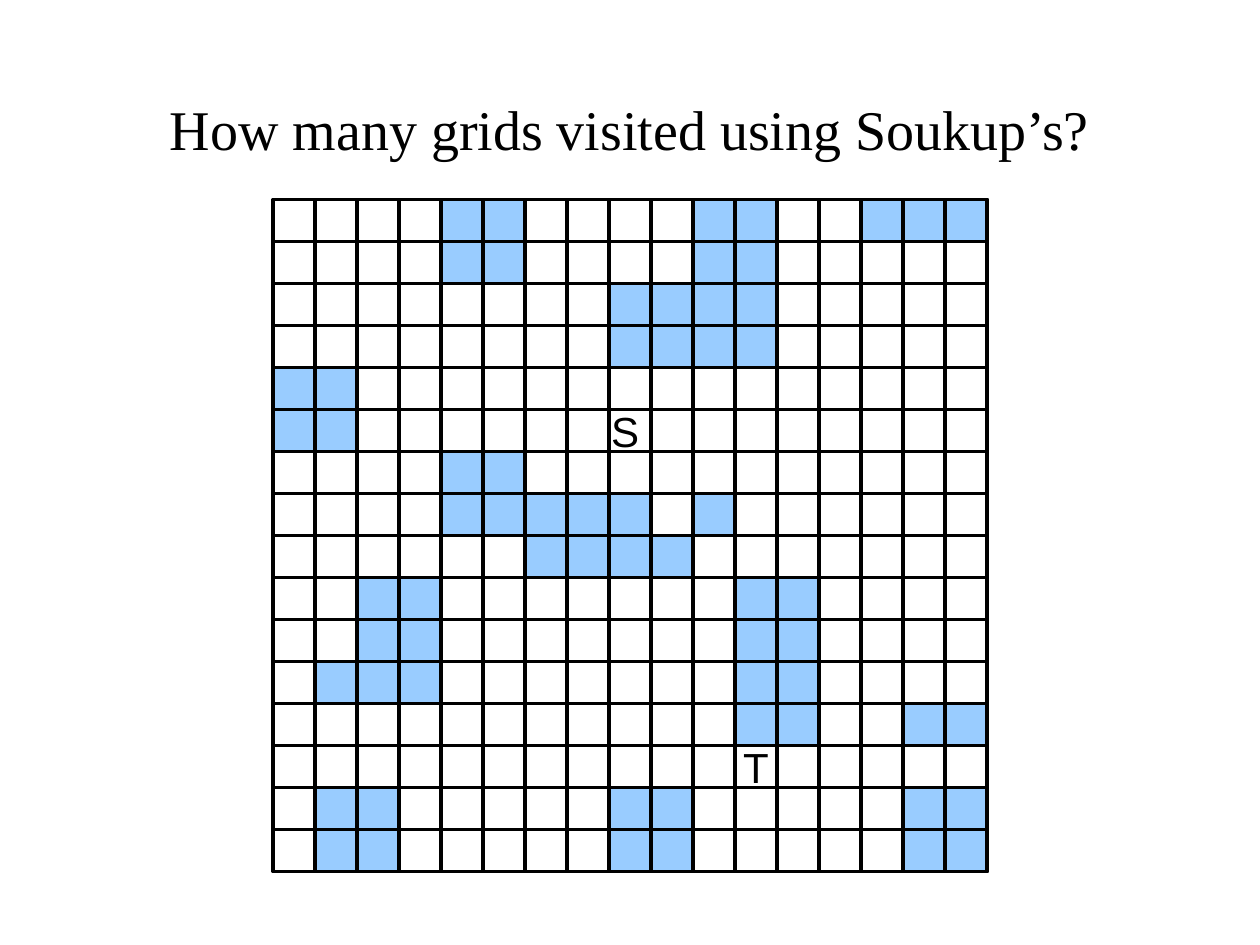
from lxml.etree import SubElement
from pptx import Presentation
from pptx.dml.color import RGBColor
from pptx.enum.shapes import MSO_CONNECTOR, MSO_SHAPE
from pptx.enum.text import MSO_ANCHOR, MSO_AUTO_SIZE, PP_ALIGN
from pptx.oxml.ns import qn
from pptx.util import Inches, Pt

BLACK = RGBColor(0x00, 0x00, 0x00)
OBSTACLE_BLUE = RGBColor(0x99, 0xCC, 0xFF)

SLIDE_WIDTH, SLIDE_HEIGHT = Inches(10), Inches(7.5)
CELL = SLIDE_WIDTH / 30
GRID_LEFT, GRID_TOP = 6.5 * CELL, 4.75 * CELL
LINE_WIDTH = Pt(2)

# One character per grid cell; # marks an obstacle
MAZE = [
    "....##....##..###",
    "....##....##.....",
    "........####.....",
    "........####.....",
    "##...............",
    "##...............",
    "....##...........",
    "....#####.#......",
    "......####.......",
    "..##.......##....",
    "..##.......##....",
    ".###.......##....",
    "...........##..##",
    ".................",
    ".##.....##.....##",
    ".##.....##.....##",
]
ROWS, COLUMNS = len(MAZE), len(MAZE[0])


def grid_x(column):
    return round(GRID_LEFT + column * CELL)


def grid_y(row):
    return round(GRID_TOP + row * CELL)


def span_cells(columns, rows):
    return round(columns * CELL), round(rows * CELL)


def write_text(frame, text, font_name, size):
    frame.vertical_anchor = MSO_ANCHOR.MIDDLE
    para = frame.paragraphs[0]
    para.alignment = PP_ALIGN.CENTER
    span = para.add_run()
    span.text = text
    span.font.name = font_name
    span.font.size = Pt(size)
    span.font.color.rgb = BLACK


def set_title(page, text):
    title = page.shapes.title
    title.left, title.top = round(SLIDE_WIDTH / 60), round(SLIDE_HEIGHT * 0.09)
    title.width, title.height = round(SLIDE_WIDTH * 29 / 30), round(SLIDE_HEIGHT * 0.09)
    write_text(title.text_frame, text, "Times New Roman", 32)


def add_rectangle(page, column, row, columns=1, rows=1, fill=None):
    box = page.shapes.add_shape(
        MSO_SHAPE.RECTANGLE, grid_x(column), grid_y(row), *span_cells(columns, rows)
    )
    box.shadow.inherit = False
    if fill is None:
        box.fill.background()
    else:
        box.fill.solid()
        box.fill.fore_color.rgb = fill
    box.line.color.rgb = BLACK
    box.line.width = LINE_WIDTH
    return box


def add_grid_line(page, start, end):
    """Draw a line between two (column, row) grid points."""
    line = page.shapes.add_connector(
        MSO_CONNECTOR.STRAIGHT,
        grid_x(start[0]), grid_y(start[1]), grid_x(end[0]), grid_y(end[1]),
    )
    line.line.color.rgb = BLACK
    line.line.width = LINE_WIDTH
    SubElement(line._element.spPr, qn("a:effectLst"))
    return line


def add_grid(page):
    border = add_rectangle(page, 0, 0, COLUMNS, ROWS)
    for column in range(1, COLUMNS):
        add_grid_line(page, (column, 0), (column, ROWS))
    for row in range(1, ROWS):
        line = add_grid_line(page, (0, row), (COLUMNS, row))
        if row * 2 == ROWS:
            line.begin_connect(border, 1)
            line.end_connect(border, 3)


def add_label(page, text, column, row, columns):
    """Place a letter centred on a grid point."""
    rows = 1.5
    box = page.shapes.add_textbox(
        grid_x(column - columns / 2), grid_y(row - rows / 2), *span_cells(columns, rows)
    )
    frame = box.text_frame
    frame.word_wrap = False
    frame.auto_size = MSO_AUTO_SIZE.SHAPE_TO_FIT_TEXT
    write_text(frame, text, "Arial", 24)


def add_obstacles(page):
    for row, cells in enumerate(MAZE):
        for column, cell in enumerate(cells):
            if cell == "#":
                add_rectangle(page, column, row, fill=OBSTACLE_BLUE)


def main():
    deck = Presentation()
    deck.slide_width, deck.slide_height = SLIDE_WIDTH, SLIDE_HEIGHT
    page = deck.slides.add_slide(deck.slide_layouts[5])
    set_title(page, "How many grids visited using Soukup’s?")
    add_grid(page)
    add_label(page, "S", 8.38, 5.5, 1.25)
    add_label(page, "T", 11.5, 13.5, 1.2)
    add_obstacles(page)
    deck.save("out.pptx")


if __name__ == "__main__":
    main()
